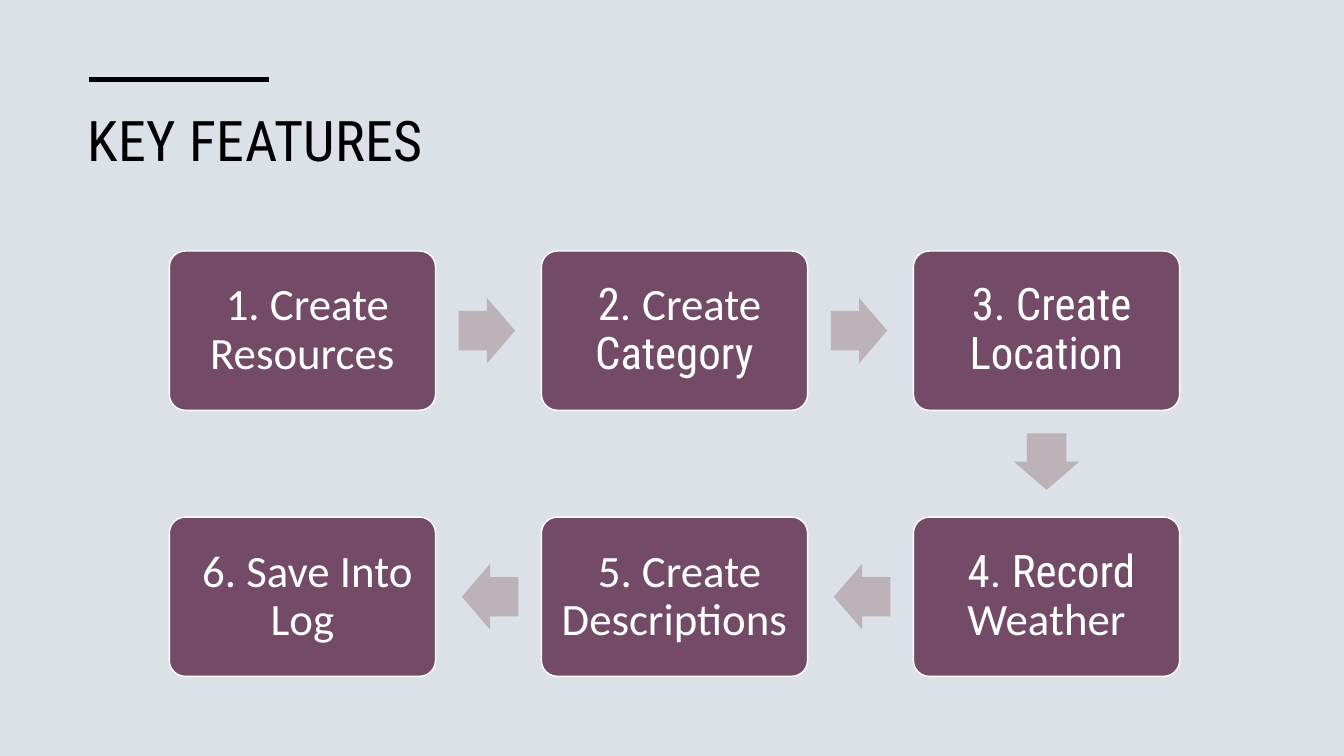
from pptx import Presentation
from pptx.dml.color import RGBColor
from pptx.enum.shapes import MSO_CONNECTOR, MSO_SHAPE
from pptx.enum.text import MSO_ANCHOR, PP_ALIGN
from pptx.oxml.ns import qn
from pptx.util import Inches, Pt
from lxml import etree

HEADING, BODY = "Roboto Condensed", "Calibri"
PLUM, MAUVE, WHITE, BLACK = "734B67", "BCB2B8", "FFFFFF", "000000"


def color(hex_string):
    return RGBColor.from_string(hex_string)


def add_run(paragraph, text, font_name, size, hex_string):
    run = paragraph.add_run()
    run.text = text
    run.font.name = font_name
    run.font.size = Pt(size)
    run.font.color.rgb = color(hex_string)
    return run


prs = Presentation()
prs.slide_width, prs.slide_height = Inches(13.33), Inches(7.5)
slide = prs.slides.add_slide(prs.slide_layouts[6])
slide.background.fill.solid()
slide.background.fill.fore_color.rgb = color("DCE0E7")

# Heading with its accent line
title = slide.shapes.add_textbox(Inches(0.77), Inches(1), Inches(11.81), Inches(1.15))
title.text_frame.word_wrap = True
title_run = add_run(title.text_frame.paragraphs[0], "KEY FEATURES", HEADING, 40, BLACK)
title_run.font._element.set("spc", "30")

accent = slide.shapes.add_connector(
    MSO_CONNECTOR.STRAIGHT, Inches(0.88), Inches(0.79), Inches(2.67), Inches(0.79))
accent.line.color.rgb = color(BLACK)
accent.line.width = Pt(3.5)
etree.SubElement(accent._element.spPr, qn("a:effectLst"))

# Steps snake right, down, then left: column, row, runs, rotation of the next arrow
steps = [
    (0, 0, [(" 1. Create Resources", BODY)], 0),
    (1, 0, [(" 2. ", HEADING), ("Create ", BODY), ("Category", HEADING)], 0),
    (2, 0, [(" 3. Create Location", HEADING)], 90),
    (2, 1, [(" 4. Record", HEADING), (" Weather", BODY)], 180),
    (1, 1, [(" 5. Create Descriptions", BODY)], 180),
    (0, 1, [(" 6. Save Into Log", BODY)], None),
]
directions = {0: (1, 0), 90: (0, 1), 180: (-1, 0)}
left, top = 1.68, 2.49
step_w, step_h = 2.64, 1.58
pitch_x, pitch_y = 3.69, 2.64
arrow_w, arrow_h = 0.56, 0.65
arrow_reach = 0.51  # from the step's edge to the arrow's centre

for column, row, runs, rotation in steps:
    x, y = left + column * pitch_x, top + row * pitch_y
    step = slide.shapes.add_shape(
        MSO_SHAPE.ROUNDED_RECTANGLE, Inches(x), Inches(y), Inches(step_w), Inches(step_h))
    step.adjustments[0] = 0.1
    step.shadow.inherit = False
    step.fill.solid()
    step.fill.fore_color.rgb = color(PLUM)
    step.line.color.rgb = color(WHITE)
    step.line.width = Pt(1)

    frame = step.text_frame
    frame.word_wrap = True
    frame.vertical_anchor = MSO_ANCHOR.MIDDLE
    frame.margin_left = frame.margin_right = Inches(0.13)
    frame.margin_top = frame.margin_bottom = Inches(0.13)
    paragraph = frame.paragraphs[0]
    paragraph.alignment = PP_ALIGN.CENTER
    paragraph.line_spacing = 0.9
    for text, font_name in runs:
        add_run(paragraph, text, font_name, 32, WHITE)

    if rotation is None:
        continue
    dx, dy = directions[rotation]
    center_x = x + step_w / 2 + dx * (step_w / 2 + arrow_reach)
    center_y = y + step_h / 2 + dy * (step_h / 2 + arrow_reach)
    arrow = slide.shapes.add_shape(
        MSO_SHAPE.RIGHT_ARROW, Inches(center_x - arrow_w / 2), Inches(center_y - arrow_h / 2),
        Inches(arrow_w), Inches(arrow_h))
    arrow.adjustments[0], arrow.adjustments[1] = 0.6, 0.5
    arrow.rotation = rotation
    arrow.shadow.inherit = False
    arrow.fill.solid()
    arrow.fill.fore_color.rgb = color(MAUVE)
    arrow.line.fill.background()

prs.save("out.pptx")
